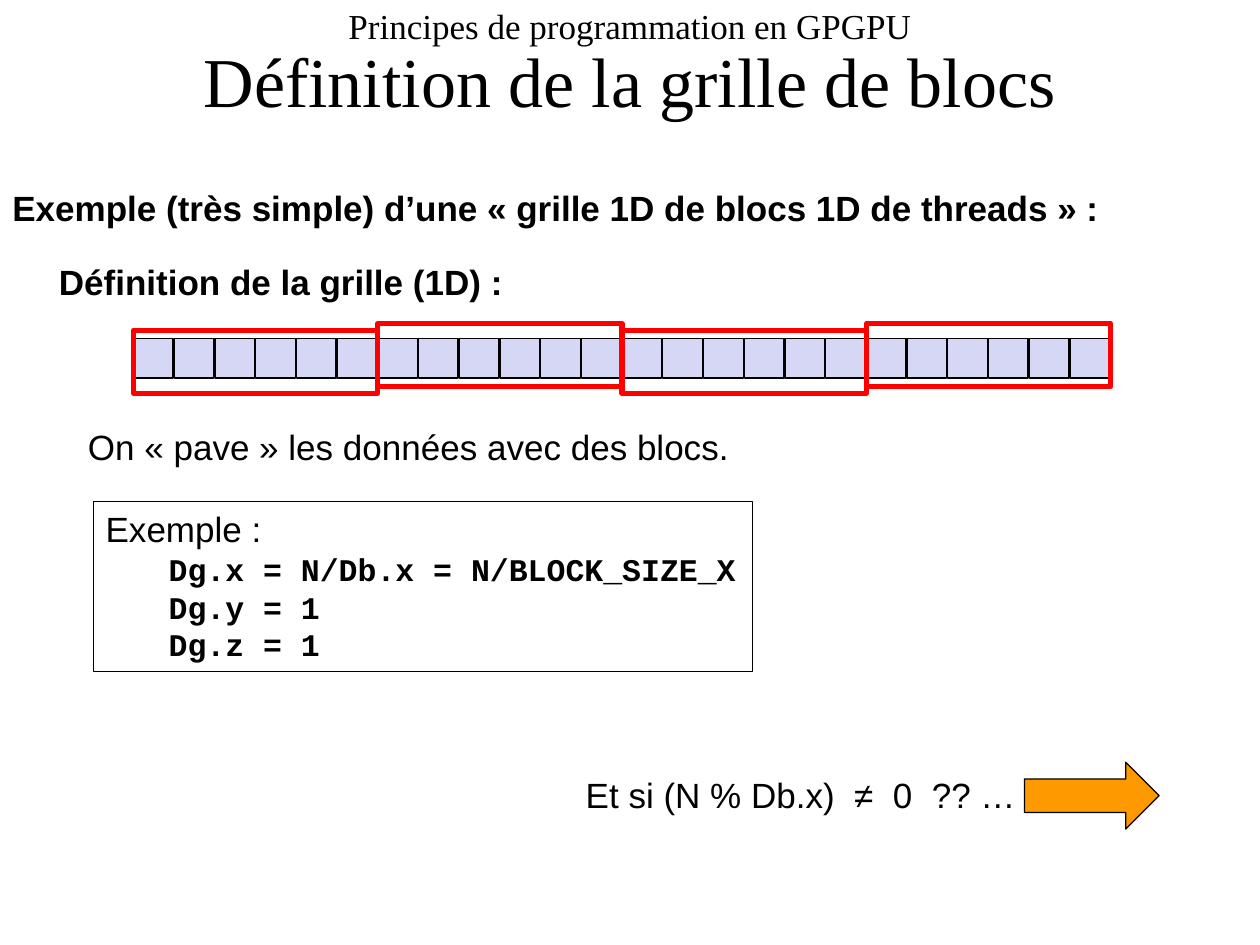
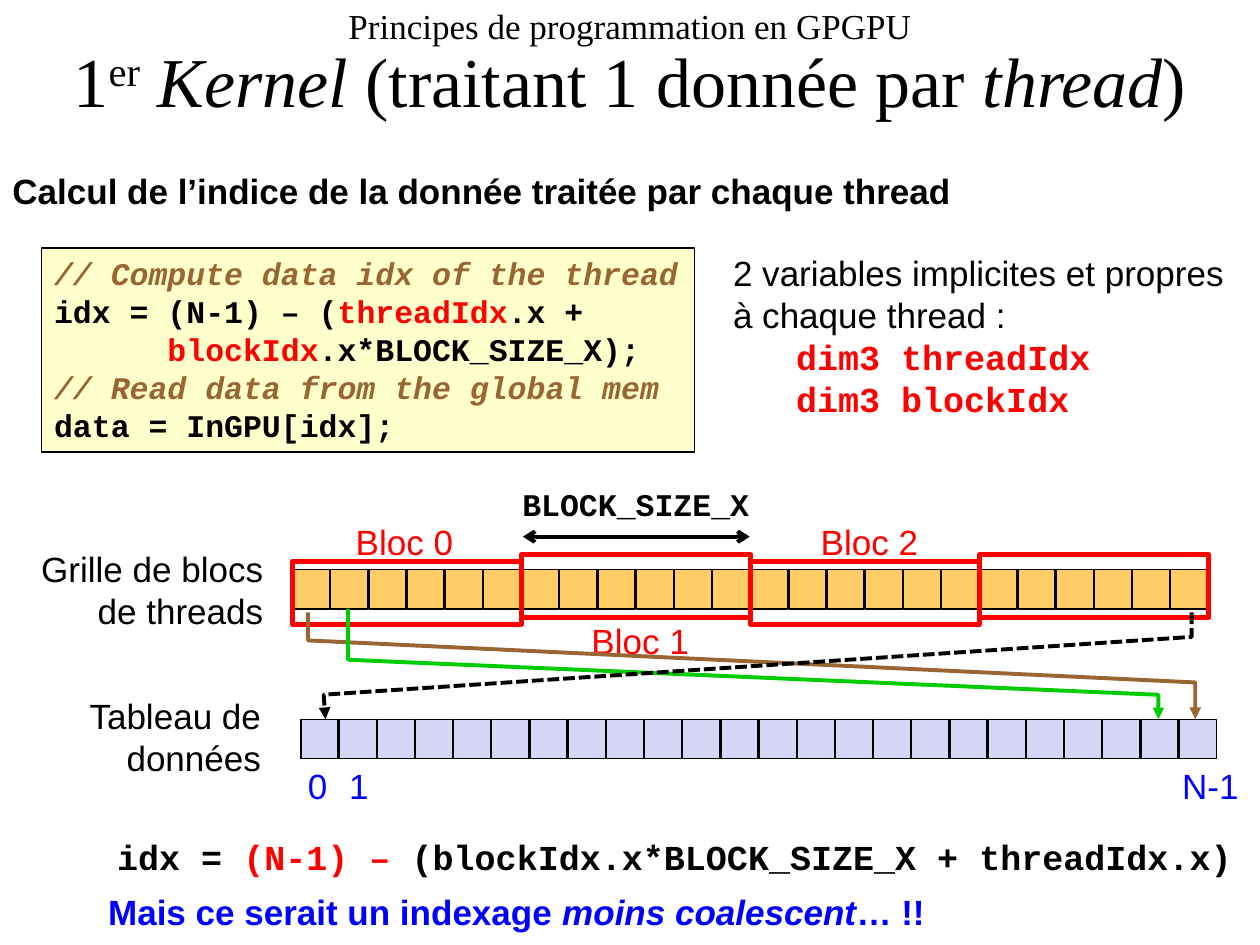
from dataclasses import dataclass

from lxml import etree
from pptx import Presentation
from pptx import util as u
from pptx.dml.color import RGBColor
from pptx.enum import dml, shapes, text
from pptx.oxml.ns import qn

Pt = u.Pt
RECT = shapes.MSO_SHAPE.RECTANGLE
ALIGN = text.PP_ALIGN


@dataclass(frozen=True)
class Theme:
    serif: str = "Times New Roman"
    sans: str = "Arial"
    mono: str = "Courier New"
    title: float = 40
    body: float = 20
    code: float = 18
    thin: float = 0.75
    arrow: float = 2.25
    thick: float = 3
    black: str = "000000"
    red: str = "FF0000"
    blue: str = "0000FF"
    brown: str = "996633"
    green: str = "00CC00"
    orange: str = "FF9900"
    data: str = "D6D6F5"
    threads: str = "FFCC66"
    code_bg: str = "FFFFCC"


T = Theme()
CELLS, BLOCKS = 24, 4
CELL_H, CELL_GAP = 22.5, 0.6
BLOCK_H, BLOCK_RISE = 36, (4.8, 8.6)
LINE_H = 31.7

SANS = dict(size=T.body, name=T.sans, color=T.black)
BOLD = dict(SANS, bold=True)
CODE = dict(size=T.code, name=T.mono, color=T.black, bold=True)
BIG_CODE = dict(CODE, size=T.body)
RED_CODE = dict(BIG_CODE, color=T.red)
RED = dict(color=T.red)
COMMENT = dict(color=T.brown, italic=True)
ITALIC = dict(italic=True)


def rgb(color):
    return RGBColor.from_string(color)


def set_font(font, size=None, name=None, color=None, bold=None, italic=None):
    if size:
        font.size = Pt(size)
    if name:
        font.name = name
    if color:
        font.color.rgb = rgb(color)
    if bold is not None:
        font.bold = bold
    if italic is not None:
        font.italic = italic


def add_run(p, content, style):
    r = p.add_run()
    r.text = content
    set_font(r.font, **style)
    return r


def paint(sp, fill=None, line=T.black, width=T.thin):
    sp.shadow.inherit = False
    if fill:
        sp.fill.solid()
        sp.fill.fore_color.rgb = rgb(fill)
    else:
        sp.fill.background()
    sp.line.color.rgb = rgb(line)
    sp.line.width = Pt(width)


def add_preset(parent, kind, x, y, w, h, **look):
    sp = parent.shapes.add_shape(kind, Pt(x), Pt(y), Pt(w), Pt(h))
    paint(sp, **look)
    return sp


def add_heads(sp, **ends):
    ln = sp.line._get_or_add_ln()
    for end, kind in ends.items():
        etree.SubElement(ln, qn(f"a:{end}End"), type=kind)


def write(sp, lines, base, align=ALIGN.LEFT, wrap=False):
    """Fill a shape; a line is (runs, style, indent) or just a string or a list of runs."""
    tf = sp.text_frame
    tf.word_wrap = wrap
    tf.auto_size = text.MSO_AUTO_SIZE.SHAPE_TO_FIT_TEXT
    tf.vertical_anchor = text.MSO_ANCHOR.TOP
    for i, line in enumerate(lines):
        runs, style, indent = line if isinstance(line, tuple) else (line, base, 0)
        p = tf.paragraphs[0] if i == 0 else tf.add_paragraph()
        p.alignment = align
        if indent:
            p._p.get_or_add_pPr().set("marL", str(Pt(indent)))
        set_font(p.font, **style)
        for content, extra in [(runs, {})] if isinstance(runs, str) else runs:
            add_run(p, content, {**style, **extra})


def label(s, x, y, w, lines, base=SANS, h=LINE_H, **kw):
    sp = s.shapes.add_textbox(Pt(x), Pt(y), Pt(w), Pt(h))
    write(sp, [lines] if isinstance(lines, str) else lines, base, **kw)


def title(s, runs):
    """Shared heading: small course line above a large line of (text, style, baseline) runs."""
    sp = s.shapes.add_textbox(0, 0, Pt(720), Pt(74.9))
    tf = sp.text_frame
    tf.word_wrap = True
    tf.vertical_anchor = text.MSO_ANCHOR.MIDDLE
    p = tf.paragraphs[0]
    p.alignment, p.line_spacing = ALIGN.CENTER, 0.9
    base = dict(name=T.serif, color=T.black)
    set_font(p.font, **base)
    add_run(p, "Principes de programmation en GPGPU", dict(base, size=T.body))
    p.add_line_break()
    for content, extra, baseline in runs:
        r = add_run(p, content, {**base, "size": T.title, **extra})
        if baseline:
            r._r.get_or_add_rPr().set("baseline", str(baseline * 1000))


def cell_row(s, x, y, w, fill):
    g = s.shapes.add_group_shape()
    step = w / CELLS
    for i in range(CELLS):
        add_preset(g, RECT, x + i * step, y, step - CELL_GAP, CELL_H, fill=fill)
    return g


def block_grid(s, x, y, w, fill):
    """A row of cells framed by alternately raised blocks."""
    g = cell_row(s, x, y, w, fill)
    step = w / BLOCKS
    for i in range(BLOCKS):
        add_preset(g, RECT, x + i * step, y - BLOCK_RISE[i % 2], step, BLOCK_H,
                   line=T.red, width=T.thick)


def link(s, points, color, dash=None):
    fb = s.shapes.build_freeform(*points[0], scale=float(Pt(1)))
    fb.add_line_segments(points[1:], close=False)
    sp = fb.convert_to_shape()
    paint(sp, line=color, width=T.arrow)
    if dash:
        sp.line.dash_style = dash
    add_heads(sp, tail="triangle")


def double_arrow(s, x1, x2, y):
    c = s.shapes.add_connector(shapes.MSO_CONNECTOR.STRAIGHT, Pt(x1), Pt(y), Pt(x2), Pt(y))
    c.line.color.rgb = rgb(T.black)
    c.line.width = Pt(T.arrow)
    add_heads(c, head="arrow", tail="arrow")
    etree.SubElement(c._element.spPr, qn("a:effectLst"))


def grid_dimensions(s, x, y):
    sp = add_preset(s, RECT, x, y, 376.6, 97.2)
    code = ["Dg.x = N/Db.x = N/BLOCK_SIZE_X", "Dg.y = 1", "Dg.z = 1"]
    write(sp, ["Exemple :"] + [(c, CODE, 36) for c in code], SANS)


def next_question(s, x, y):
    label(s, x, y, 262, "Et si (N % Db.x)  ≠  0  ?? …")
    add_preset(s, shapes.MSO_SHAPE.RIGHT_ARROW, x + 257.8, y - 2.9, 77, 38.2, fill=T.orange)


def index_code(s, x, y):
    sp = add_preset(s, RECT, x, y, 373, 116.6, fill=T.code_bg)
    write(sp, [
        [("// Compute data idx of the thread", COMMENT)],
        [("idx = (N-1) – (", {}), ("threadIdx", RED), (".x +", {})],
        [("      ", {}), ("blockIdx", RED), (".x*BLOCK_SIZE_X);", {})],
        [("// Read data from the global mem", COMMENT)],
        "data = InGPU[idx];",
    ], CODE)


def thread_mapping(s, x, y):
    """Thread grid above the data array, with links from threads to data."""
    w = 523.6
    cell_row(s, x + 157, y + 141.1, w, T.data)
    block_grid(s, x + 152.2, y + 55.6, w, T.threads)
    label(s, x, y + 39.6, 142.6, ["Grille de blocs", "de threads"], h=55.4, align=ALIGN.RIGHT)
    label(s, x + 27.5, y + 123.1, 113.8, ["Tableau de", "données"], h=55.4, align=ALIGN.RIGHT)
    double_arrow(s, x + 283.8, x + 413.4, y + 36.7)
    label(s, x + 275.9, y + 3.6, 144.7, "BLOCK_SIZE_X", CODE, h=28.8, align=ALIGN.CENTER)
    for i, (dx, dy) in enumerate([(180.8, 23.8), (315.5, 80.6), (446.5, 23.8)]):
        label(s, x + dx, y + dy, 70.6, f"Bloc {i}", dict(SANS, **RED), align=ALIGN.CENTER)
    for name, dx, width in [("0", 153.5, 25.9), ("1", 177.2, 25.9), ("N-1", 653.2, 46.8)]:
        label(s, x + dx, y + 163.4, width, name, dict(SANS, color=T.blue), align=ALIGN.CENTER)
    links = [
        ([(160.7, 80), (160.7, 95.8), (667.6, 119.5), (668.3, 141.1)], T.brown, None),
        ([(183.7, 77.8), (183.7, 107.3), (646.7, 127.4), (646.7, 141.1)], T.green, None),
        ([(666.1, 80), (666.1, 94.3), (170, 126.7), (171.5, 141.1)], T.black,
         dml.MSO_LINE.SQUARE_DOT),
    ]
    for points, color, dash in links:
        link(s, [(x + dx, y + dy) for dx, dy in points], color, dash)


def grid_slide(s):
    title(s, [("Définition de la grille de blocs", {}, 0)])
    label(s, 0, 103, 645, "Exemple (très simple) d’une « grille 1D de blocs 1D de threads » :", BOLD)
    label(s, 26.6, 145.4, 270, "Définition de la grille (1D) :", BOLD)
    block_grid(s, 76.3, 193.5, 558.4, T.data)
    label(s, 43.2, 239.8, 476, "On « pave » les données avec des blocs.", wrap=True)
    grid_dimensions(s, 53.3, 286.6)
    next_question(s, 327.6, 438.5)


def kernel_slide(s):
    title(s, [("1", {}, 0), ("er", {}, 30), (" Kernel", ITALIC, 0),
              (" (traitant 1 donnée par ", {}, 0), ("thread", ITALIC, 0), (")", {}, 0)])
    label(s, 0, 93.6, 555, "Calcul de l’indice de la donnée traitée par chaque thread", BOLD)
    index_code(s, 23.8, 141.8)
    label(s, 411.8, 140.4, 296.6, [
        "2 variables implicites et propres à chaque thread :",
        ("dim3 threadIdx", RED_CODE, 36),
        ("dim3 blockIdx", RED_CODE, 36),
    ], h=104.4, wrap=True)
    thread_mapping(s, 15, 270)
    label(s, 59.8, 473.8, 651.6, [[
        ("idx = ", {}), ("(N-1) – ", RED), ("(blockIdx.x*BLOCK_SIZE_X + threadIdx.x)", {}),
    ]], BIG_CODE)
    label(s, 54.7, 505.4, 489.6, [[
        ("Mais ce serait un indexage ", {}), ("moins coalescent", ITALIC), ("… !!", {}),
    ]], dict(BOLD, color=T.blue))


def main():
    prs = Presentation()
    prs.slide_width, prs.slide_height = Pt(720), Pt(540)
    for build in (grid_slide, kernel_slide):
        build(prs.slides.add_slide(prs.slide_layouts[6]))
    prs.save("out.pptx")


if __name__ == "__main__":
    main()
